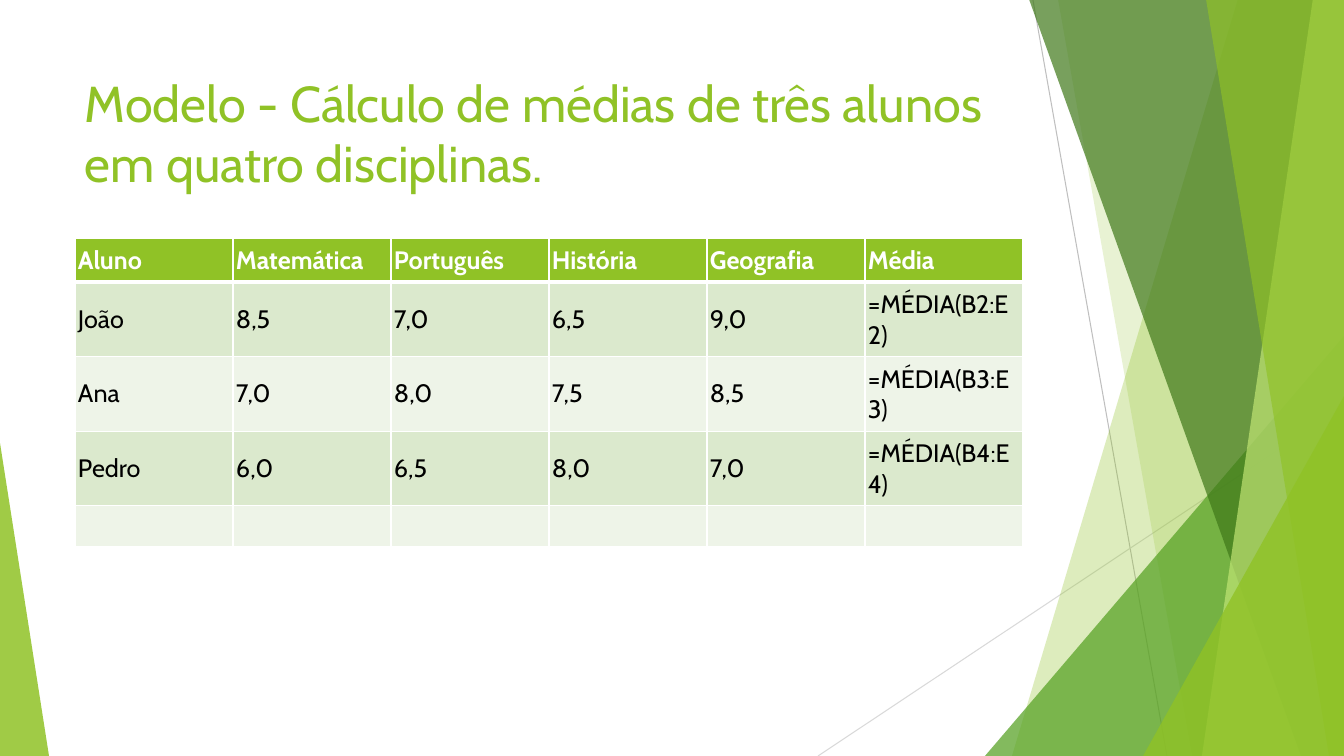
from lxml.etree import SubElement
from pptx import Presentation
from pptx.dml.color import RGBColor
from pptx.enum.shapes import MSO_CONNECTOR, MSO_SHAPE
from pptx.enum.text import MSO_ANCHOR
from pptx.oxml import parse_xml
from pptx.oxml.ns import nsdecls, qn
from pptx.util import Pt

SCALE = 914400 / 100.8
WIDTH, HEIGHT = 1344, 756
FONT = "Cabin"
WHITE = RGBColor(0xFF, 0xFF, 0xFF)
BLACK = RGBColor(0x00, 0x00, 0x00)
LIME = RGBColor(0x90, 0xC2, 0x26)
LEAF = RGBColor(0x54, 0xA0, 0x21)
FOREST = RGBColor(0x3F, 0x78, 0x19)
PALE_LIME = RGBColor(0xC0, 0xE4, 0x74)
BAND_DARK = RGBColor(0xDB, 0xE9, 0xCD)
BAND_LIGHT = RGBColor(0xEE, 0xF4, 0xE8)
GRAY = RGBColor(0xBF, 0xBF, 0xBF)
LIGHT_GRAY = RGBColor(0xD9, 0xD9, 0xD9)

TITLE = "Modelo - Cálculo de médias de três alunos em quatro disciplinas."
GRADES = [
    ["Aluno", "Matemática", "Português", "História", "Geografia", "Média"],
    ["João", "8,5", "7,0", "6,5", "9,0", "=MÉDIA(B2:E2)"],
    ["Ana", "7,0", "8,0", "7,5", "8,5", "=MÉDIA(B3:E3)"],
    ["Pedro", "6,0", "6,5", "8,0", "7,0", "=MÉDIA(B4:E4)"],
    [""] * 6,
]


def px(n):
    """Turn pixels into EMU."""
    return round(n * SCALE)


def write(tf, text, size=18, color=BLACK, bold=False):
    """Write one formatted run into a text frame."""
    r = tf.paragraphs[0].add_run()
    r.text = text
    r.font.name, r.font.size, r.font.bold = FONT, Pt(size), bold
    r.font.color.rgb = color


def paint(s, color, opacity):
    """Give a shape a translucent fill without line or shadow."""
    s.shadow.inherit = False
    s.line.fill.background()
    s.fill.solid()
    s.fill.fore_color.rgb = color
    clr = s.element.spPr.find(qn("a:solidFill"))[0]
    SubElement(clr, qn("a:alpha")).set("val", str(opacity * 1000))


def add_line(slide, x1, y1, x2, y2, color):
    """Draw a thin straight line."""
    s = slide.shapes.add_connector(
        MSO_CONNECTOR.STRAIGHT, px(x1), px(y1), px(x2), px(y2))
    s.line.color.rgb = color
    s.line.width = Pt(0.75)
    SubElement(s.element.spPr, qn("a:effectLst"))


def add_shard(slide, top_x, bottom_x, color, opacity):
    """Draw a full-height shard that reaches the right edge."""
    fb = slide.shapes.build_freeform(top_x, -1, scale=SCALE)
    fb.add_line_segments([(WIDTH, -1), (WIDTH, HEIGHT), (bottom_x, HEIGHT)])
    paint(fb.convert_to_shape(), color, opacity)


def add_triangle(slide, x, y, w, apex, color, opacity):
    """Draw a triangle that stands on the bottom edge."""
    s = slide.shapes.add_shape(
        MSO_SHAPE.ISOSCELES_TRIANGLE, px(x), px(y), px(w), px(HEIGHT - y))
    s.adjustments[0] = apex
    paint(s, color, opacity)


def add_backdrop(slide):
    """Draw the lines and green shards around the content."""
    add_line(slide, 1033, 0, 1167, HEIGHT, GRAY)
    add_line(slide, WIDTH, 406, 818, HEIGHT, LIGHT_GRAY)
    add_shard(slide, 1238, 1012, LIME, 30)
    add_shard(slide, 1058, 1192, LIME, 20)
    add_triangle(slide, 985, 336, 359, 1, LEAF, 72)
    add_shard(slide, 1029, 1301, FOREST, 70)
    add_shard(slide, 1313, 1202, PALE_LIME, 70)
    add_shard(slide, 1206, 1329, LIME, 65)
    add_triangle(slide, 1143, 396, 201, 1, LIME, 80)
    add_triangle(slide, 0, 443, 49, 0, LIME, 85)


def add_title(slide, text):
    """Add the slide title."""
    tf = slide.shapes.add_textbox(px(75), px(67), px(948), px(145)).text_frame
    tf.word_wrap = True
    write(tf, text, size=36, color=LIME)


def add_borders(cell, **widths):
    """Give a cell white borders, with widths in points by side."""
    tc_pr = cell._tc.get_or_add_tcPr()
    for side in "LRTB":
        tc_pr.append(parse_xml(
            f'<a:ln{side} {nsdecls("a")} w="{Pt(widths.get(side, 1))}">'
            f'<a:solidFill><a:srgbClr val="{WHITE}"/></a:solidFill>'
            f'</a:ln{side}>'))


def fill_cell(cell, text, row):
    """Format one cell of the grade table."""
    header = row == 0
    add_borders(cell, T=3 if row == 1 else 1, B=3 if header else 1)
    cell.fill.solid()
    cell.fill.fore_color.rgb = (
        LIME if header else BAND_DARK if row % 2 else BAND_LIGHT)
    if text:
        cell.vertical_anchor = MSO_ANCHOR.MIDDLE
        cell.margin_left = cell.margin_right = px(3)
        cell.margin_top = cell.margin_bottom = px(7)
        write(cell.text_frame, text, color=WHITE if header else BLACK,
              bold=header)


def add_grades(slide, rows):
    """Add the table of grades."""
    n_rows, n_cols = len(rows), len(rows[0])
    table = slide.shapes.add_table(
        n_rows, n_cols, px(75), px(238), px(158 * n_cols),
        px(41 * n_rows)).table
    for i, row in enumerate(rows):
        for j, text in enumerate(row):
            fill_cell(table.cell(i, j), text, i)


def main():
    """Build and save the slide."""
    prs = Presentation()
    prs.slide_width, prs.slide_height = px(WIDTH), px(HEIGHT)
    slide = prs.slides.add_slide(prs.slide_layouts[6])
    add_backdrop(slide)
    add_title(slide, TITLE)
    add_grades(slide, GRADES)
    prs.save("out.pptx")


main()
